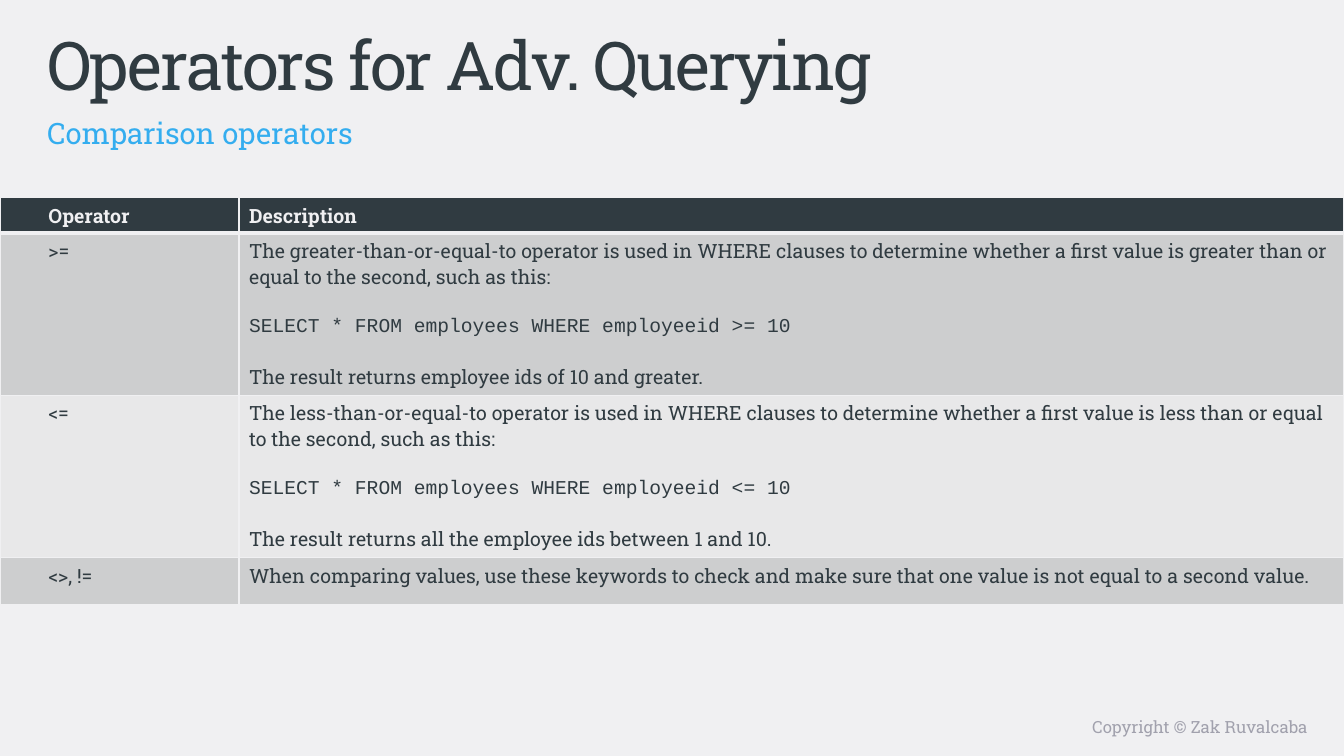
"""Build the slide on comparison operators for advanced querying."""
from pptx import Presentation
from pptx.dml.color import RGBColor
from pptx.enum.text import MSO_ANCHOR, PP_ALIGN
from pptx.oxml.ns import qn
from pptx.util import Inches, Pt
from lxml import etree

TOP, MIDDLE = MSO_ANCHOR.TOP, MSO_ANCHOR.MIDDLE
LEFT, RIGHT = PP_ALIGN.LEFT, PP_ALIGN.RIGHT

THEME = {
    "paper": "F0F0F2", "ink": "303B41", "accent": "34ADEF", "muted": "A1A1AD",
    "bands": ("CDCECF", "E8E8E9"),
    "font": "Roboto Slab", "code_font": "Courier New",
    "title": 48, "subtitle": 21, "body": 14, "footer": 12,
    "tracking": -150, "gap": 18.5, "rule": 1, "header_rule": 3,
}

HEADINGS = ("Operator", "Description")
OPERATORS = [
    (">=", ["The greater-than-or-equal-to operator is used in WHERE clauses to determine "
            "whether a first value is greater than or equal to the second, such as this:",
            "SELECT * FROM employees WHERE employeeid >= 10",
            "The result returns employee ids of 10 and greater."]),
    ("<=", ["The less-than-or-equal-to operator is used in WHERE clauses to determine "
            "whether a first value is less than or equal to the second, such as this:",
            "SELECT * FROM employees WHERE employeeid <= 10",
            "The result returns all the employee ids between 1 and 10."]),
    ("<>, !=", ["When comparing values, use these keywords to check and make sure "
                "that one value is not equal to a second value."]),
]
CAPTIONS = [
    {"text": "Copyright © Zak Ruvalcaba", "box": (6.67, 7.06, 6.4, 0.31), "style": "footer",
     "color": "muted", "anchor": MIDDLE, "align": RIGHT, "spacing": 1.0},
    {"text": "Operators for Adv. Querying", "box": (0.37, 0.18, 11.76, 0.79), "style": "title",
     "color": "ink", "anchor": TOP, "align": LEFT, "spacing": 1.0},
    {"text": "Comparison operators", "box": (0.37, 0.99, 11.76, 0.39), "style": "subtitle",
     "color": "accent", "anchor": TOP, "align": LEFT, "spacing": 1.3},
]
COLUMN_WIDTHS = (2.37, 10.96)
ROW_HEIGHTS = (0.35, 1.61, 1.61, 0.47)
TABLE_TOP = 1.96
MARGINS = {"margin_left": 0.1, "margin_top": 0.05, "margin_right": 0.1, "margin_bottom": 0.05}
OPERATOR_INDENT = 0.48


def set_all(target, values):
    for name, value in values.items():
        setattr(target, name, value)


def write(paragraph, text, size, color, font=THEME["font"], bold=False):
    run = paragraph.add_run()
    run.text = text
    set_all(run.font, {"size": Pt(size), "name": font, "bold": bold})
    run.font.color.rgb = RGBColor.from_string(color)
    return run


def add_caption(slide, caption):
    frame = slide.shapes.add_textbox(*map(Inches, caption["box"])).text_frame
    set_all(frame, {"word_wrap": True, "vertical_anchor": caption["anchor"]})
    set_all(frame, {side: Inches(inset) for side, inset in MARGINS.items()})
    paragraph = frame.paragraphs[0]
    set_all(paragraph, {"alignment": caption["align"], "line_spacing": caption["spacing"]})
    run = write(paragraph, caption["text"], THEME[caption["style"]], THEME[caption["color"]])
    if caption["style"] == "title":
        run.font._element.set("spc", str(THEME["tracking"]))


def add_borders(cell, widths):
    properties = cell._tc.get_or_add_tcPr()
    for position, (side, width) in enumerate(widths.items()):
        line = etree.Element(qn(f"a:{side}"), w=str(Pt(width)))
        fill = etree.SubElement(line, qn("a:solidFill"))
        etree.SubElement(fill, qn("a:srgbClr"), val=THEME["paper"])
        properties.insert(position, line)


def fill_cell(cell, row, column, lines):
    header = row == 0
    fill = THEME["ink"] if header else THEME["bands"][(row - 1) % 2]
    cell.fill.solid()
    cell.fill.fore_color.rgb = RGBColor.from_string(fill)
    margins = MARGINS if column else {**MARGINS, "margin_left": OPERATOR_INDENT}
    set_all(cell, {side: Inches(inset) for side, inset in margins.items()})
    for index, line in enumerate(lines):
        frame = cell.text_frame
        paragraph = frame.add_paragraph() if index else frame.paragraphs[0]
        paragraph.space_before = Pt(THEME["gap"] if index else 0)
        write(paragraph, line, THEME["body"], THEME["paper" if header else "ink"],
              THEME["code_font" if index == 1 else "font"], header)
    rules = dict.fromkeys(("lnL", "lnR", "lnT", "lnB"), THEME["rule"])
    if header:
        rules["lnB"] = THEME["header_rule"]
    elif row == 1:
        rules["lnT"] = THEME["header_rule"]
    add_borders(cell, rules)


def add_operator_table(slide):
    rows = [[[heading] for heading in HEADINGS]]
    rows += [[[operator], description] for operator, description in OPERATORS]
    table = slide.shapes.add_table(
        len(rows), len(HEADINGS), 0, Inches(TABLE_TOP),
        Inches(sum(COLUMN_WIDTHS)), Inches(sum(ROW_HEIGHTS))).table
    for column, width in zip(table.columns, COLUMN_WIDTHS):
        column.width = Inches(width)
    for row, height in zip(table.rows, ROW_HEIGHTS):
        row.height = Inches(height)
    for row, contents in enumerate(rows):
        for column, lines in enumerate(contents):
            fill_cell(table.cell(row, column), row, column, lines)


presentation = Presentation()
set_all(presentation, {"slide_width": Inches(13.33), "slide_height": Inches(7.5)})
slide = presentation.slides.add_slide(presentation.slide_layouts[6])
slide.background.fill.solid()
slide.background.fill.fore_color.rgb = RGBColor.from_string(THEME["paper"])
for caption in CAPTIONS:
    add_caption(slide, caption)
add_operator_table(slide)
presentation.save("out.pptx")
